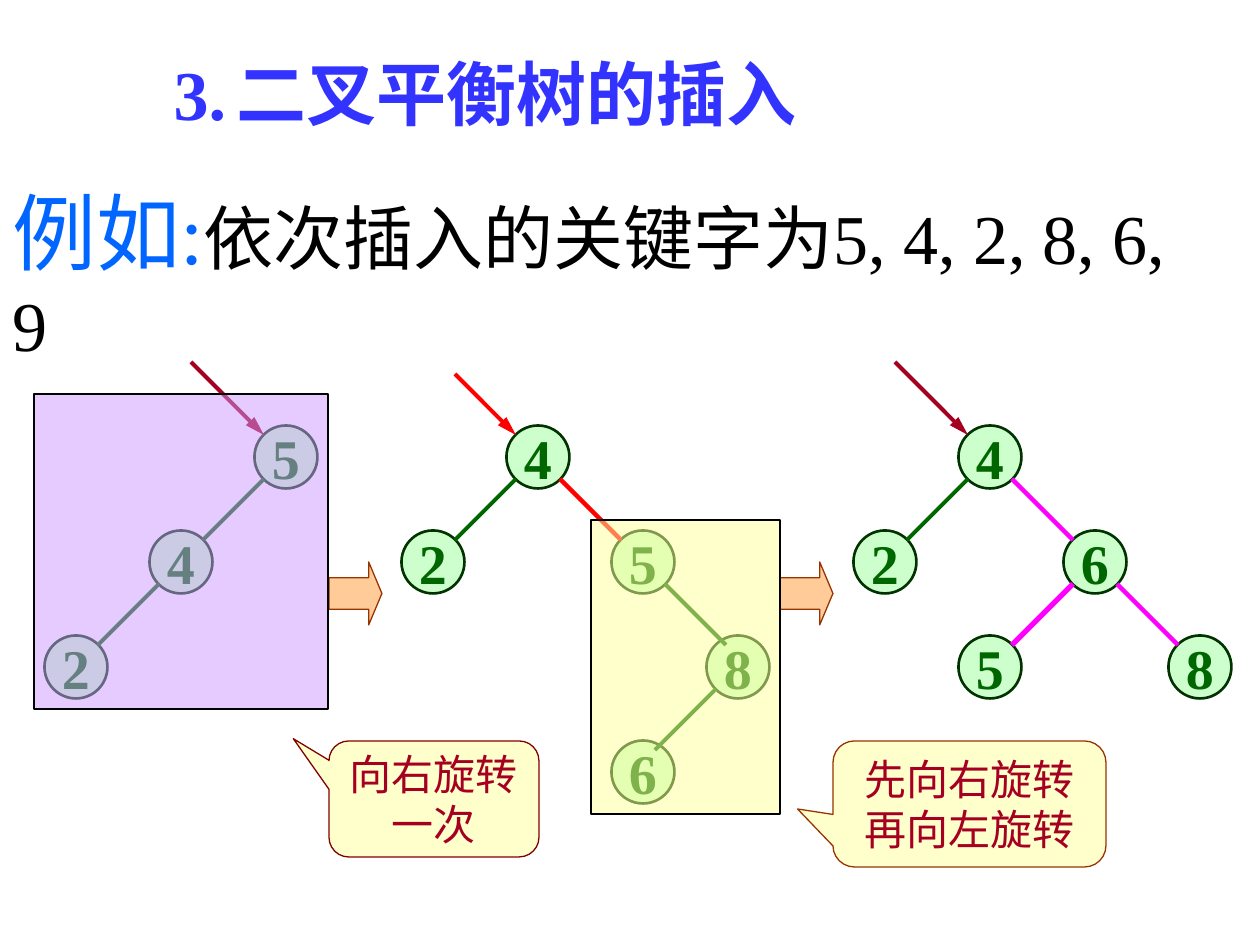
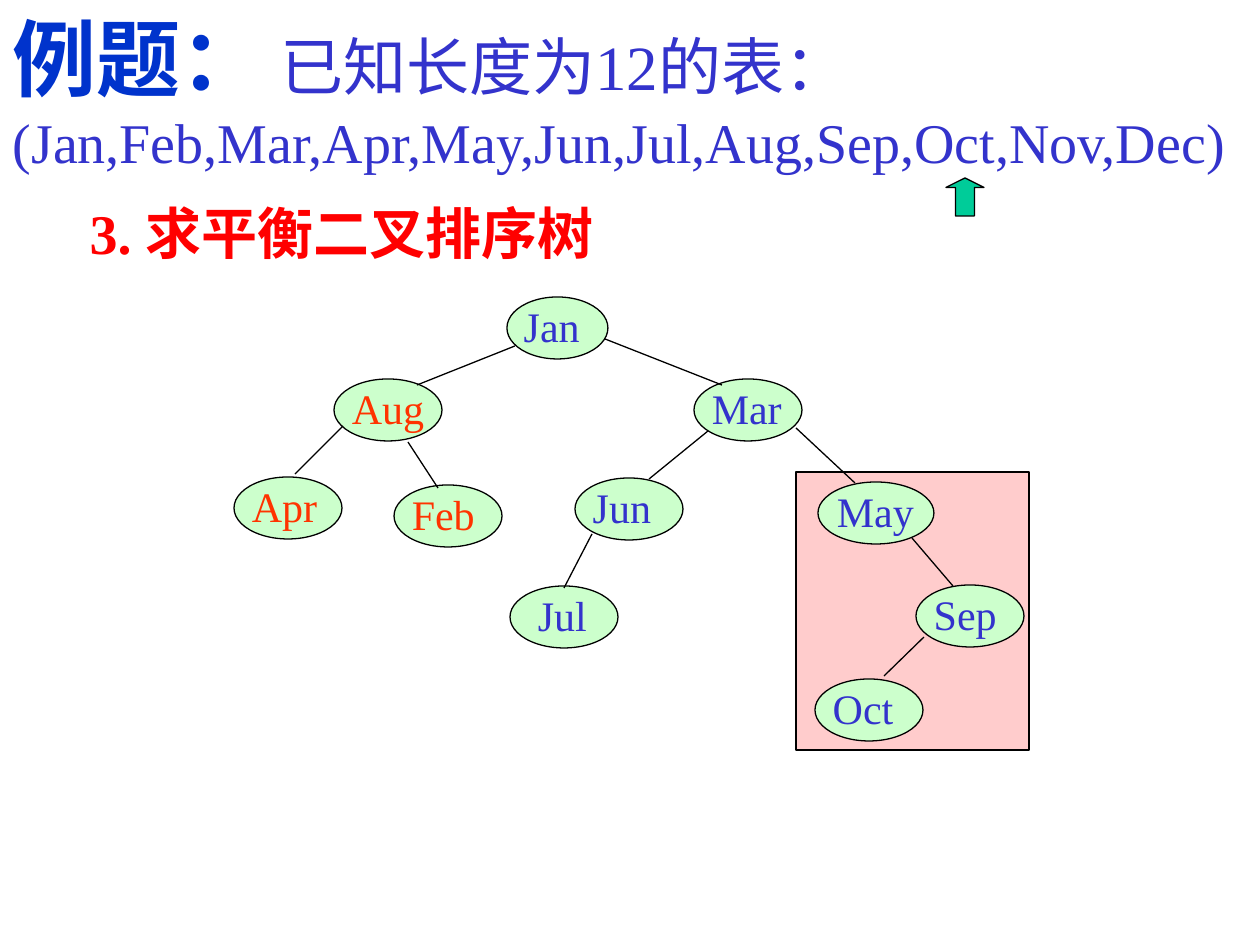
from lxml import etree
from pptx import Presentation
from pptx import util as u
from pptx.dml.color import RGBColor
from pptx.enum import shapes, text
from pptx.oxml.ns import qn

EMU_PER_PX = 914400 / 126
FONT = "Times New Roman"
C = {
    "black": "000000", "title": "3333FF", "lead": "0066FF", "exercise": "0033CC",
    "month": "3333CC", "left_month": "FF3300", "red": "FF0000",
    "node": "CCFFCC", "node_line": "003300", "green": "006600",
    "dark_red": "A50021", "maroon": "800000", "magenta": "FF00FF",
    "arrow": "FFCC99", "brown": "993300", "callout": "FFFFCC",
    "yellow": "FFFF99", "violet": "CC99FF", "pink": "FFCCCC", "teal": "00CC99",
}
SHAPE = shapes.MSO_SHAPE
LEFT, CENTER = text.PP_ALIGN.LEFT, text.PP_ALIGN.CENTER

NODE = 63     # diameter of a key node
STEP = 105    # distance between tree levels
RIM = 22      # offset from a node's centre to its rim, on the diagonal
EDGE = 61     # horizontal and vertical run of an edge


def px(n):
    return u.Emu(round(n * EMU_PER_PX))


def rgb(name):
    return RGBColor.from_string(C[name])


def add_run(p, words, size, color, bold=False):
    r = p.add_run()
    r.text = words
    r.font.name, r.font.size, r.font.bold = FONT, u.Pt(size), bold
    r.font.color.rgb = rgb(color)


def fill_placeholder(sp, box, paragraphs, tab=None):
    """Place sp and write paragraphs, each a list of (words, size, color, bold)."""
    sp.left, sp.top, sp.width, sp.height = map(px, box)
    tf = sp.text_frame
    tf.word_wrap = True
    tf.auto_size = text.MSO_AUTO_SIZE.NONE
    tf.vertical_anchor = text.MSO_ANCHOR.TOP
    for i, runs in enumerate(paragraphs):
        p = tf.add_paragraph() if i else tf.paragraphs[0]
        p.alignment, p.space_before = LEFT, u.Pt(0)
        pPr = p._p.get_or_add_pPr()
        pPr.set("marL", "0")
        pPr.set("indent", "0")
        etree.SubElement(pPr, qn("a:buNone"))
        if tab:
            tabs = etree.SubElement(pPr, qn("a:tabLst"))
            etree.SubElement(tabs, qn("a:tab"), pos=str(px(tab)), algn="l")
        for run in runs:
            add_run(p, *run)


def add_slide(prs, title_box, title, body_box, body, tab=None):
    slide = prs.slides.add_slide(prs.slide_layouts[1])
    fill_placeholder(slide.shapes.title, title_box, [[title]], tab)
    fill_placeholder(slide.placeholders[1], body_box, body)
    return slide


def add_shape(slide, kind, box, fill, line, width=0.75, adj=(), alpha=None):
    sp = slide.shapes.add_shape(kind, *map(px, box))
    sp.shadow.inherit = False
    sp.fill.solid()
    sp.fill.fore_color.rgb = rgb(fill)
    sp.line.color.rgb = rgb(line)
    sp.line.width = u.Pt(width)
    for i, value in enumerate(adj):
        sp.adjustments[i] = value
    if alpha:
        clr = sp._element.spPr.find(qn("a:solidFill"))[0]
        etree.SubElement(clr, qn("a:alpha"), val=str(alpha * 1000))
    return sp


def label(sp, lines, size, color, bold=False, align=CENTER, wrap=False):
    tf = sp.text_frame
    tf.word_wrap = wrap
    tf.vertical_anchor = text.MSO_ANCHOR.MIDDLE
    for i, words in enumerate(lines):
        p = tf.add_paragraph() if i else tf.paragraphs[0]
        p.alignment = align
        add_run(p, words, size, color, bold)


def add_line(slide, start, end, color, width, arrow=False):
    ln = slide.shapes.add_connector(
        shapes.MSO_CONNECTOR.STRAIGHT, *map(px, (*start, *end)))
    ln.line.color.rgb = rgb(color)
    ln.line.width = u.Pt(width)
    if arrow:
        etree.SubElement(ln.line._get_or_add_ln(), qn("a:tailEnd"),
                         type="triangle", w="med", len="lg")
    etree.SubElement(ln._element.spPr, qn("a:effectLst"))


def add_key_tree(slide, nodes, edges, entry):
    """nodes: (key, x, y) centres, root first; edges: (parent, side, color, width)."""
    for key, x, y in nodes:
        sp = add_shape(slide, SHAPE.OVAL, (x - NODE / 2, y - NODE / 2, NODE, NODE),
                       "node", "node_line", 1.5)
        label(sp, [key], 32, "green", bold=True)
    centres = {key: (x, y) for key, x, y in nodes}
    for parent, side, color, width in edges:
        x, y = centres[parent]
        x, y = x + side * RIM, y + RIM
        add_line(slide, (x, y), (x + side * EDGE, y + EDGE), color, width)
    _, x, y = nodes[0]
    run, color = entry
    tip = (x - RIM, y - RIM)
    add_line(slide, (tip[0] - run, tip[1] - run), tip, color, 2.25, arrow=True)


def add_month(slide, name, x, y, w, color, indent=0):
    sp = add_shape(slide, SHAPE.OVAL, (x, y, w, 62), "node", "black")
    tf = sp.text_frame
    tf.margin_left, tf.margin_right = px(2 + indent), 0
    tf.margin_top, tf.margin_bottom = 0, px(4)
    label(sp, [name], 24, color, align=LEFT, wrap=True)


def insertion_slide(prs):
    slide = add_slide(
        prs, (161, 44, 945, 105), ("3.\t二叉平衡树的插入", 40, "title", True),
        (0, 174, 1205, 113),
        [[("例如:", 48, "lead"), ("依次插入的关键字为5, 4, 2, 8, 6, 9", 40, "black")]],
        tab=104)
    rows = [457 + STEP * i for i in range(4)]
    plain = ("green", 2.25)
    add_key_tree(
        slide, [("5", 286, rows[0]), ("4", 286 - STEP, rows[1]),
                ("2", 286 - 2 * STEP, rows[2])],
        [("5", -1, *plain), ("4", -1, *plain)], (73, "dark_red"))
    add_key_tree(
        slide, [("4", 538, rows[0]), ("2", 538 - STEP, rows[1]),
                ("5", 538 + STEP, rows[1]), ("8", 738, rows[2]),
                ("6", 538 + STEP, rows[3])],
        [("4", -1, *plain), ("4", 1, "red", 2.5), ("5", 1, *plain), ("8", -1, *plain)],
        (61, "red"))
    add_key_tree(
        slide, [("4", 990, rows[0]), ("2", 990 - STEP, rows[1]),
                ("6", 990 + STEP, rows[1]), ("5", 990, rows[2]),
                ("8", 990 + 2 * STEP, rows[2])],
        [("4", -1, *plain), ("4", 1, "magenta", 2.5), ("6", -1, "magenta", 3),
         ("6", 1, "magenta", 2.5)], (73, "dark_red"))

    for x in (329, 780):
        add_shape(slide, SHAPE.RIGHT_ARROW, (x, 562, 53, 63), "arrow", "brown",
                  adj=(0.5, 0.25))
    for box, color in (((34, 394, 294, 315), "violet"), ((591, 520, 189, 294), "yellow")):
        add_shape(slide, SHAPE.RECTANGLE, box, color, "black", alpha=50)
    for box, line, adj, lines in (
            ((329, 741, 210, 116), "maroon", (-0.67, -0.52, 0.17), ["向右旋转", "一次"]),
            ((833, 741, 273, 126), "brown", (-0.63, 0.04, 0.17),
             ["先向右旋转", "再向左旋转"])):
        sp = add_shape(slide, SHAPE.ROUNDED_RECTANGULAR_CALLOUT, box, "callout", line,
                       adj=adj)
        label(sp, lines, 24, "dark_red")


def month_slide(prs):
    slide = add_slide(
        prs, (77, 192, 548, 79), ("3. 求平衡二叉排序树", 32, "red", True),
        (0, 0, 1260, 180),
        [[("例题：", 48, "exercise", True), (" ", 40, "black"),
          ("已知长度为12的表：", 36, "month")],
         [("(Jan,Feb,Mar,Apr,May,Jun,Jul,Aug,Sep,Oct,Nov,Dec)", 32, "month")]])
    add_shape(slide, SHAPE.UP_ARROW, (946, 178, 38, 38), "teal", "black",
              adj=(0.5, 0.25))
    add_shape(slide, SHAPE.RECTANGLE, (796, 472, 233, 278), "pink", "black")
    for name, x, y, w in (("Aug", 334, 379, 108), ("Apr", 234, 477, 108),
                          ("Feb", 394, 485, 108)):
        add_month(slide, name, x, y, w, "left_month")
    for name, x, y, w in (("Jan", 507, 297, 101), ("Mar", 694, 379, 108),
                          ("Jun", 575, 478, 108), ("May", 818, 482, 116),
                          ("Sep", 916, 585, 108), ("Oct", 815, 679, 108)):
        add_month(slide, name, x, y, w, "month")
    add_month(slide, "Jul", 510, 586, 108, "month", indent=10)
    for start, end in (((515, 346), (417, 385)), ((605, 339), (722, 385)),
                       ((343, 426), (295, 474)), ((408, 442), (438, 488)),
                       ((708, 431), (649, 479)), ((796, 428), (855, 483)),
                       ((592, 534), (564, 588)), ((912, 538), (953, 586)),
                       ((924, 637), (884, 676))):
        add_line(slide, start, end, "black", 0.75)


def main():
    prs = Presentation()
    prs.slide_width, prs.slide_height = px(1260), px(945)
    insertion_slide(prs)
    month_slide(prs)
    prs.save("out.pptx")


if __name__ == "__main__":
    main()
